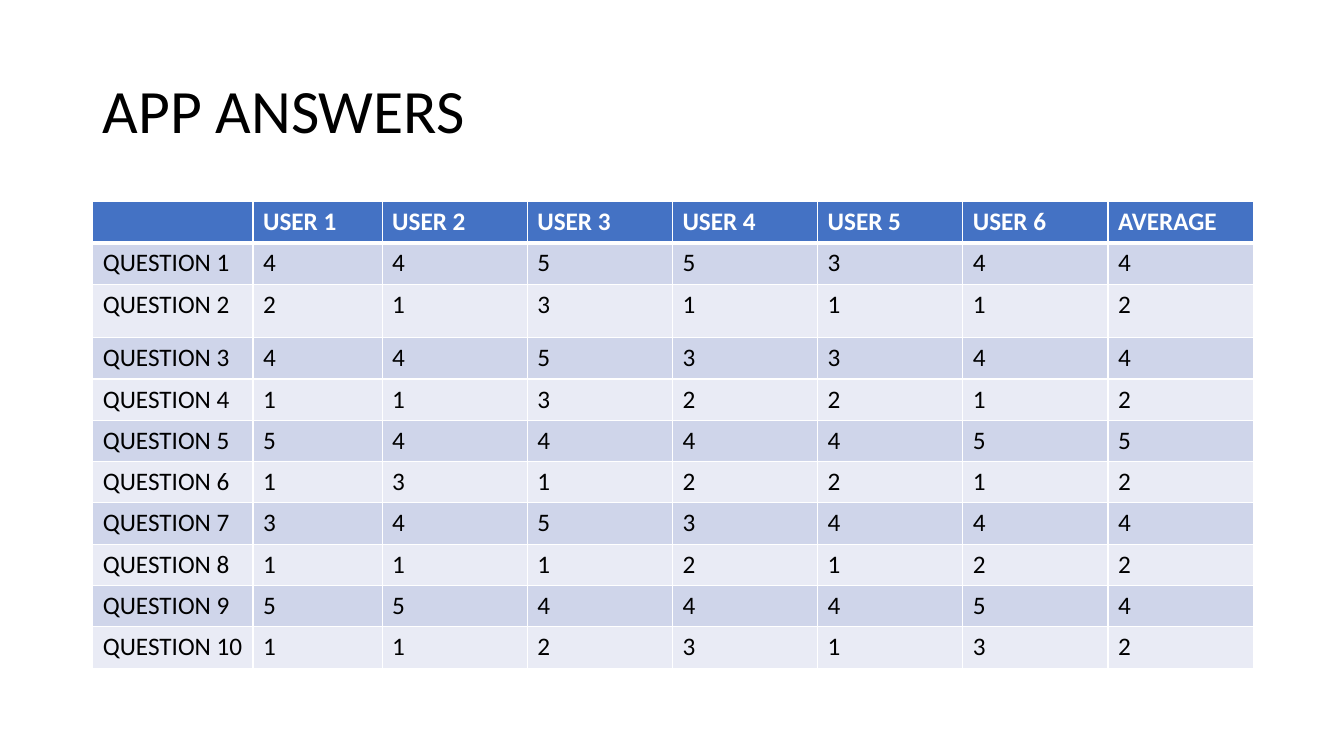
import pptx
import pptx.dml.color
import pptx.enum.text
import pptx.oxml.ns
import pptx.util
from lxml import etree
from pptx.util import Inches

HUES = {"head": "4472C4", "odd": "CFD5EA", "even": "E9EBF5",
        "white": "FFFFFF", "black": "000000"}
USERS = 6
# One row per question: six users, then the average
SCORES = [
    (4, 4, 5, 5, 3, 4, 4),
    (2, 1, 3, 1, 1, 1, 2),
    (4, 4, 5, 3, 3, 4, 4),
    (1, 1, 3, 2, 2, 1, 2),
    (5, 4, 4, 4, 4, 5, 5),
    (1, 3, 1, 2, 2, 1, 2),
    (3, 4, 5, 3, 4, 4, 4),
    (1, 1, 1, 2, 1, 2, 2),
    (5, 5, 4, 4, 4, 5, 4),
    (1, 1, 2, 3, 1, 3, 2),
]
WIDTHS = [1.59, 1.28] + [1.44] * 6
ROW, TALL = 0.41, 0.53


def hue(name):
    return pptx.dml.color.RGBColor.from_string(HUES[name])


def put_text(frame, text, size=18, color="black", bold=False, space=1.0):
    para = frame.paragraphs[0]
    para.line_spacing = space
    font = para.font
    if text:
        run = para.add_run()
        run.text = text
        font = run.font
    font.name = "Calibri"
    font.size = pptx.util.Pt(size)
    font.bold = bold
    font.color.rgb = hue(color)


def add_edge(cell, side, width):
    qn = pptx.oxml.ns.qn
    line = etree.SubElement(cell._tc.get_or_add_tcPr(), qn("a:ln" + side),
                            w=str(pptx.util.Pt(width)))
    fill = etree.SubElement(line, qn("a:solidFill"))
    etree.SubElement(fill, qn("a:srgbClr"), val=HUES["white"])


def add_title(slide, left, top, width, height):
    box = slide.shapes.add_textbox(Inches(left), Inches(top),
                                   Inches(width), Inches(height))
    frame = box.text_frame
    frame.word_wrap = True
    frame.vertical_anchor = pptx.enum.text.MSO_ANCHOR.MIDDLE
    put_text(frame, "APP ANSWERS", size=44, space=0.9)


def add_grid(slide, left, top, width, height):
    head = ["", *(f"USER {n}" for n in range(1, USERS + 1)), "AVERAGE"]
    rows = [head] + [[f"QUESTION {n}", *map(str, marks)]
                     for n, marks in enumerate(SCORES, 1)]
    grid = slide.shapes.add_table(len(rows), len(head), Inches(left), Inches(top),
                                  Inches(width), Inches(height)).table
    for col, wide in zip(grid.columns, WIDTHS):
        col.width = Inches(wide)

    for r, row in enumerate(rows):
        grid.rows[r].height = Inches(TALL if r == 2 else ROW)
        band = "head" if r == 0 else "odd" if r % 2 else "even"
        for c, text in enumerate(row):
            cell = grid.cell(r, c)
            # Thick rule between the header and the first question
            for side in "LRTB":
                thick = (r, side) in ((0, "B"), (1, "T"))
                add_edge(cell, side, 3 if thick else 1)
            cell.fill.solid()
            cell.fill.fore_color.rgb = hue(band)
            put_text(cell.text_frame, text, bold=r == 0,
                     color="black" if r else "white")


def main():
    deck = pptx.Presentation()
    deck.slide_width, deck.slide_height = Inches(13.33), Inches(7.5)
    slide = deck.slides.add_slide(deck.slide_layouts[6])
    add_title(slide, 0.92, 0.4, 11.5, 1.45)
    add_grid(slide, 0.92, 2, 11.5, 4.59)
    deck.save("out.pptx")


if __name__ == "__main__":
    main()
